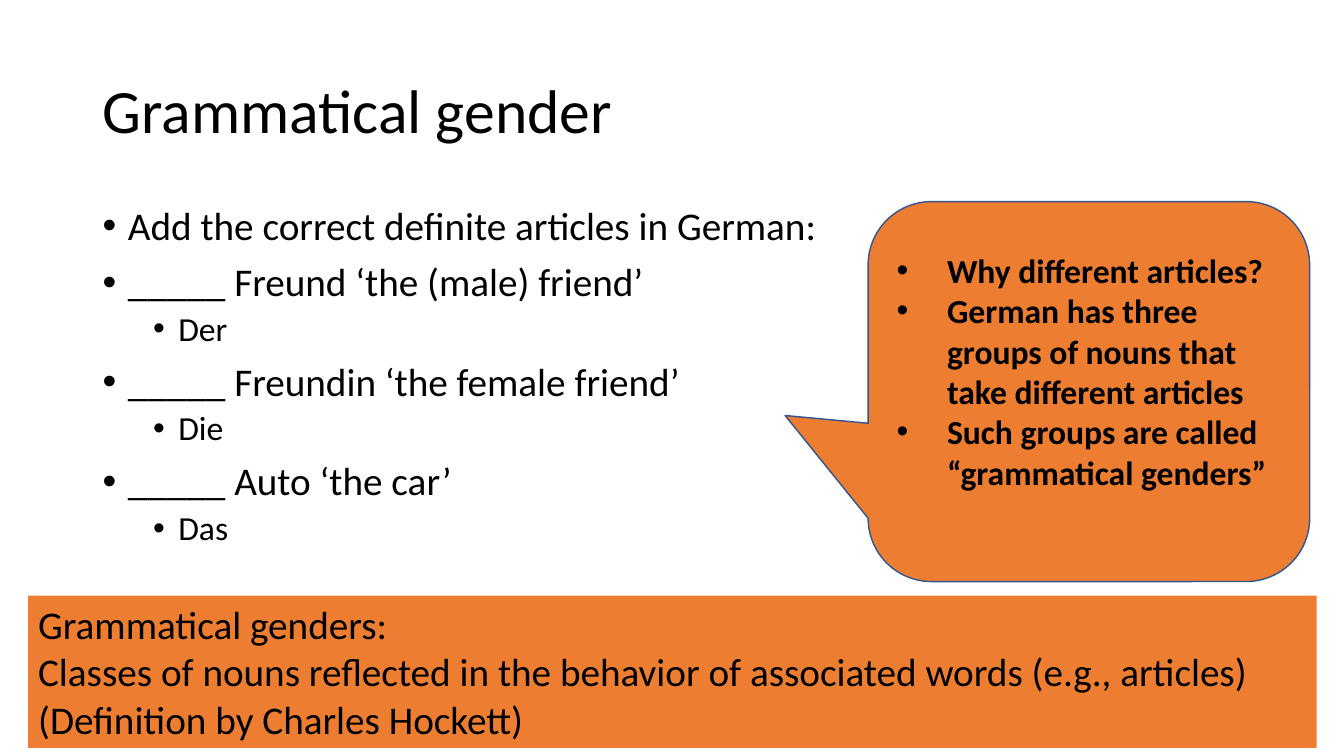
from dataclasses import dataclass

from pptx import Presentation
from pptx.dml.color import RGBColor
from pptx.enum import shapes, text
from pptx.oxml import parse_xml
from pptx.oxml.ns import nsdecls
from pptx.util import Pt

PX = 9144


@dataclass(frozen=True)
class Theme:
    font: str = "Calibri"
    ink: RGBColor = RGBColor(0, 0, 0)
    fill: RGBColor = RGBColor(0xED, 0x7D, 0x31)
    edge: RGBColor = RGBColor(0x32, 0x54, 0x91)
    title: int = 44
    body: int = 28
    small: int = 24


LOOK = Theme()


def scale(box):
    return [n * PX for n in box]


def setup(shape, anchor):
    frame = shape.text_frame
    frame.word_wrap = True
    frame.vertical_anchor = anchor
    return frame


def write(frame, line, size, bold=False):
    para = frame.paragraphs[0]
    if para.runs:
        para = frame.add_paragraph()
    para.alignment = text.PP_ALIGN.LEFT
    run = para.add_run()
    run.text = line
    font = run.font
    font.name, font.size, font.bold = LOOK.font, Pt(size), bold
    font.color.rgb = LOOK.ink
    return para


def bullet(para, left, hang):
    props = para._p.get_or_add_pPr()
    props.set("marL", str(left * PX))
    props.set("indent", str(-hang * PX))
    props.append(parse_xml(f'<a:buFont {nsdecls("a")} typeface="Arial"/>'))
    props.append(parse_xml(f'<a:buChar {nsdecls("a")} char="•"/>'))


def panel(slide, kind, box):
    shape = slide.shapes.add_shape(kind, *scale(box))
    shape.shadow.inherit = False
    shape.fill.solid()
    shape.fill.fore_color.rgb = LOOK.fill
    return shape


def title(slide, box):
    shape = slide.shapes.add_textbox(*scale(box))
    frame = setup(shape, text.MSO_ANCHOR.MIDDLE)
    write(frame, "Grammatical gender", LOOK.title).line_spacing = 0.9


def quiz(slide, box):
    shape = slide.shapes.add_textbox(*scale(box))
    frame = setup(shape, text.MSO_ANCHOR.TOP)
    items = [
        ("Add the correct definite articles in German:", 0),
        ("_____ Freund ‘the (male) friend’", 0),
        ("Der", 1),
        ("_____ Freundin ‘the female friend’", 0),
        ("Die", 1),
        ("_____ Auto ‘the car’", 0),
        ("Das", 1),
    ]
    for line, level in items:
        para = write(frame, line, LOOK.small if level else LOOK.body)
        para.level = level
        para.line_spacing = 0.9
        para.space_before = Pt(5 if level else 10)
        bullet(para, 25 + 50 * level, 25)


def callout(slide, box):
    kind = shapes.MSO_SHAPE.ROUNDED_RECTANGULAR_CALLOUT
    shape = panel(slide, kind, box)
    for spot, value in enumerate((-0.688, 0.063, 0.167)):
        shape.adjustments[spot] = value
    shape.line.color.rgb = LOOK.edge
    shape.line.width = Pt(1)
    frame = setup(shape, text.MSO_ANCHOR.MIDDLE)
    frame.margin_bottom = 46 * PX
    for line in (
        "Why different articles?",
        "German has three groups of nouns that take different articles",
        "Such groups are called “grammatical genders”",
    ):
        bullet(write(frame, line, LOOK.small, True), 50, 50)


def banner(slide, box):
    shape = panel(slide, shapes.MSO_SHAPE.RECTANGLE, box)
    shape.line.fill.background()
    frame = setup(shape, text.MSO_ANCHOR.TOP)
    for line in (
        "Grammatical genders:",
        "Classes of nouns reflected in the behavior of associated words (e.g., articles)",
        "(Definition by Charles Hockett)",
    ):
        write(frame, line, LOOK.body)


def main():
    deck = Presentation()
    deck.slide_width, deck.slide_height = scale((1333, 750))
    slide = deck.slides.add_slide(deck.slide_layouts[6])
    title(slide, (92, 40, 1150, 145))
    quiz(slide, (92, 200, 742, 476))
    callout(slide, (861, 200, 438, 377))
    banner(slide, (28, 591, 1278, 151))
    deck.save("out.pptx")


if __name__ == "__main__":
    main()
